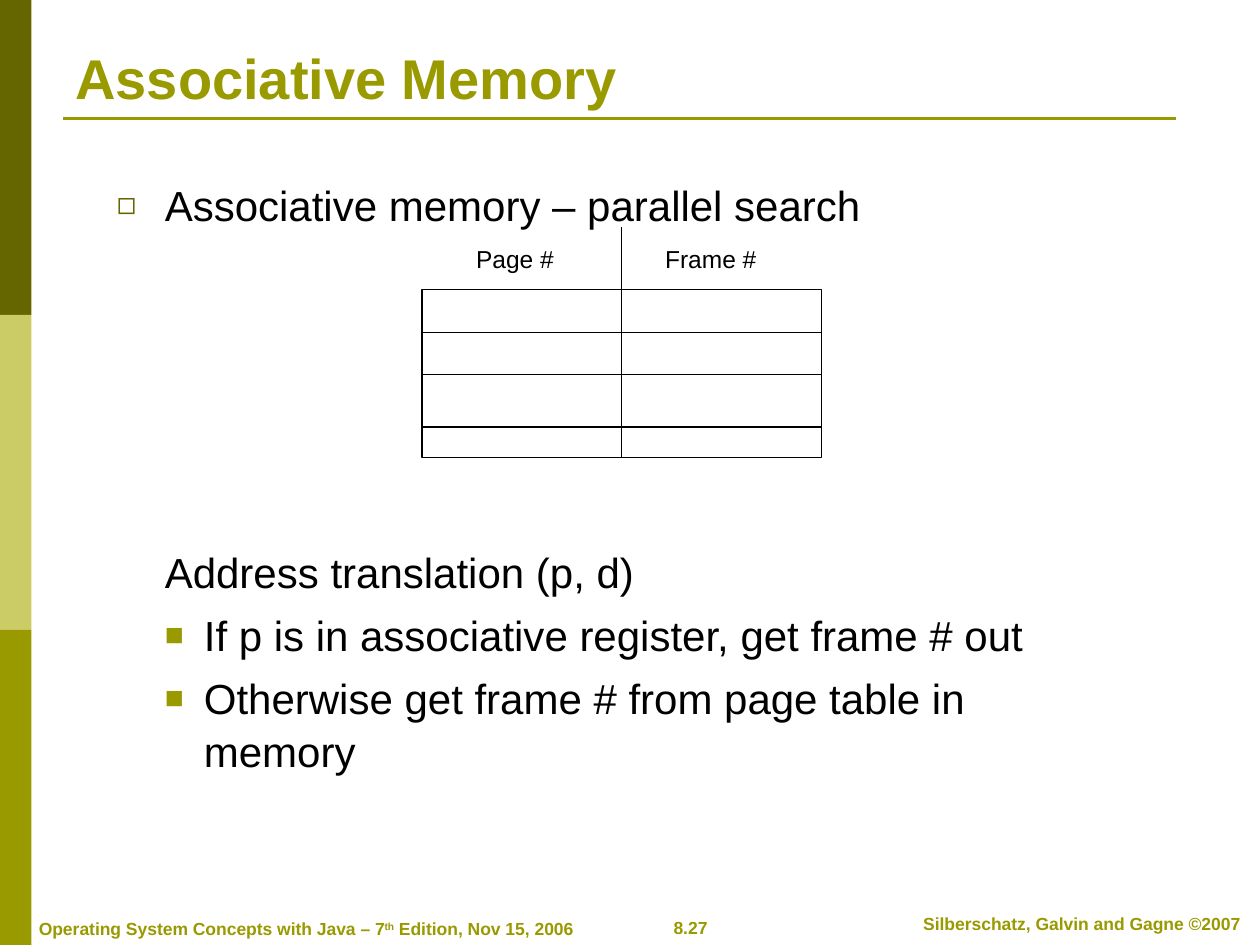
from lxml import etree
from pptx import Presentation
from pptx.dml.color import RGBColor
from pptx.enum import shapes, text
from pptx.oxml.ns import qn
from pptx.util import Inches, Pt

THEME = {
    "font": "Arial",
    "dark": "666600", "light": "CCCC66", "accent": "999900",
    "ink": "000000", "paper": "FFFFFF",
    "title": 32, "body": 24, "label": 14, "footer": 10,
}

TITLE = "Associative Memory"
BAND_COLOURS = ["dark", "light", "accent"]
# Each body line: text, bullet, bullet colour, left margin, hanging indent, space before
BODY = [
    ("Associative memory – parallel search", "◻", "dark", 0.38, 0.38, 0),
    ("Address translation (p, d)", None, None, 0.38, 0, 180),
    ("If p is in associative register, get frame # out", "■", "accent", 0.69, 0.31, 6),
    ("Otherwise get frame # from page table in memory", "■", "accent", 0.69, 0.31, 6),
]
# Each footer: runs as (text, superscript), box, alignment
FOOTERS = [
    ([("8.27", False)], (4.99, 7.23, 0.98, 0.27), "CENTER"),
    ([("Silberschatz, Galvin and Gagne ©2007", False)], (7.1, 7.2, 2.97, 0.27), "CENTER"),
    ([("Operating System Concepts with Java – 7", False), ("th", True),
      (" Edition, Nov 15, 2006", False)], (0.21, 7.24, 4.5, 0.27), "LEFT"),
]
REGISTERS = {"left": 3.35, "top": 2.3, "width": 3.17, "height": 1.33,
             "divider": 4.93, "divider_top": 1.8, "rows": [2.64, 2.97, 3.39]}
COLUMN_LABELS = [("Page #", 3.68), ("Frame #", 5.18)]


def colour(name):
    return RGBColor.from_string(THEME[name])


def add_rect(slide, box, fill, line=None):
    rect = slide.shapes.add_shape(shapes.MSO_SHAPE.RECTANGLE, *map(Inches, box))
    rect.shadow.inherit = False
    rect.fill.solid()
    rect.fill.fore_color.rgb = colour(fill)
    if line:
        rect.line.color.rgb = colour(line)
        rect.line.width = Pt(0.75)
    else:
        rect.line.fill.background()


def add_line(slide, start, end, ink="ink", width=0.75):
    line = slide.shapes.add_connector(
        shapes.MSO_CONNECTOR.STRAIGHT, *map(Inches, (*start, *end)))
    line.line.color.rgb = colour(ink)
    line.line.width = Pt(width)
    etree.SubElement(line._element.spPr, qn("a:effectLst"))


def add_frame(slide, box, anchor="TOP"):
    frame = slide.shapes.add_textbox(*map(Inches, box)).text_frame
    frame.word_wrap = True
    frame.vertical_anchor = text.MSO_ANCHOR[anchor]
    return frame


def write(paragraph, runs, size, ink="ink", bold=False, align="LEFT"):
    """Fill a paragraph with (text, superscript) runs, or with one plain string."""
    paragraph.alignment = text.PP_ALIGN[align]
    for words, superscript in [(runs, False)] if isinstance(runs, str) else runs:
        run = paragraph.add_run()
        run.text = words
        run.font.name = THEME["font"]
        run.font.size = Pt(THEME[size])
        run.font.bold = bold
        run.font.color.rgb = colour(ink)
        if superscript:
            run.font._element.set("baseline", "30000")


def set_bullet(paragraph, mark, ink, margin, hanging):
    props = paragraph._p.get_or_add_pPr()
    props.set("marL", str(Inches(margin)))
    props.set("indent", str(-Inches(hanging)))
    if not mark:
        etree.SubElement(props, qn("a:buNone"))
        return
    bullet_colour = etree.SubElement(props, qn("a:buClr"))
    etree.SubElement(bullet_colour, qn("a:srgbClr"), val=THEME[ink])
    etree.SubElement(props, qn("a:buSzPct"), val="75000")
    etree.SubElement(props, qn("a:buFont"), typeface=THEME["font"])
    etree.SubElement(props, qn("a:buChar"), char=mark)


def add_body(slide):
    frame = add_frame(slide, (0.83, 1.36, 8.04, 4.9))
    for i, (words, mark, ink, margin, hanging, before) in enumerate(BODY):
        paragraph = frame.add_paragraph() if i else frame.paragraphs[0]
        set_bullet(paragraph, mark, ink, margin, hanging)
        paragraph.space_before = Pt(before)
        paragraph.line_spacing = 1.04
        write(paragraph, words, "body")


def add_registers(slide):
    r = REGISTERS
    right, bottom = r["left"] + r["width"], r["top"] + r["height"]
    add_rect(slide, (r["left"], r["top"], r["width"], r["height"]), "paper", "ink")
    add_line(slide, (r["divider"], r["divider_top"]), (r["divider"], bottom))
    for y in r["rows"]:
        add_line(slide, (r["left"], y), (right, y))
    for label, left in COLUMN_LABELS:
        frame = add_frame(slide, (left, 1.89, 1.42, 0.33), "MIDDLE")
        write(frame.paragraphs[0], label, "label")


def main():
    deck = Presentation()
    deck.slide_width, deck.slide_height = Inches(10), Inches(7.5)
    slide = deck.slides.add_slide(deck.slide_layouts[6])

    band_height = 7.5 / len(BAND_COLOURS)
    for i, band in enumerate(BAND_COLOURS):
        add_rect(slide, (0, i * band_height, 0.25, band_height), band)
    add_line(slide, (0.5, 0.94), (9.33, 0.94), "accent", 1.5)
    for runs, box, align in FOOTERS:
        write(add_frame(slide, box).paragraphs[0], runs, "footer", "accent", True, align)

    title = add_frame(slide, (0.5, 0.3, 9, 0.63), "BOTTOM")
    write(title.paragraphs[0], TITLE, "title", "accent", bold=True)
    add_body(slide)
    add_registers(slide)
    deck.save("out.pptx")


if __name__ == "__main__":
    main()
